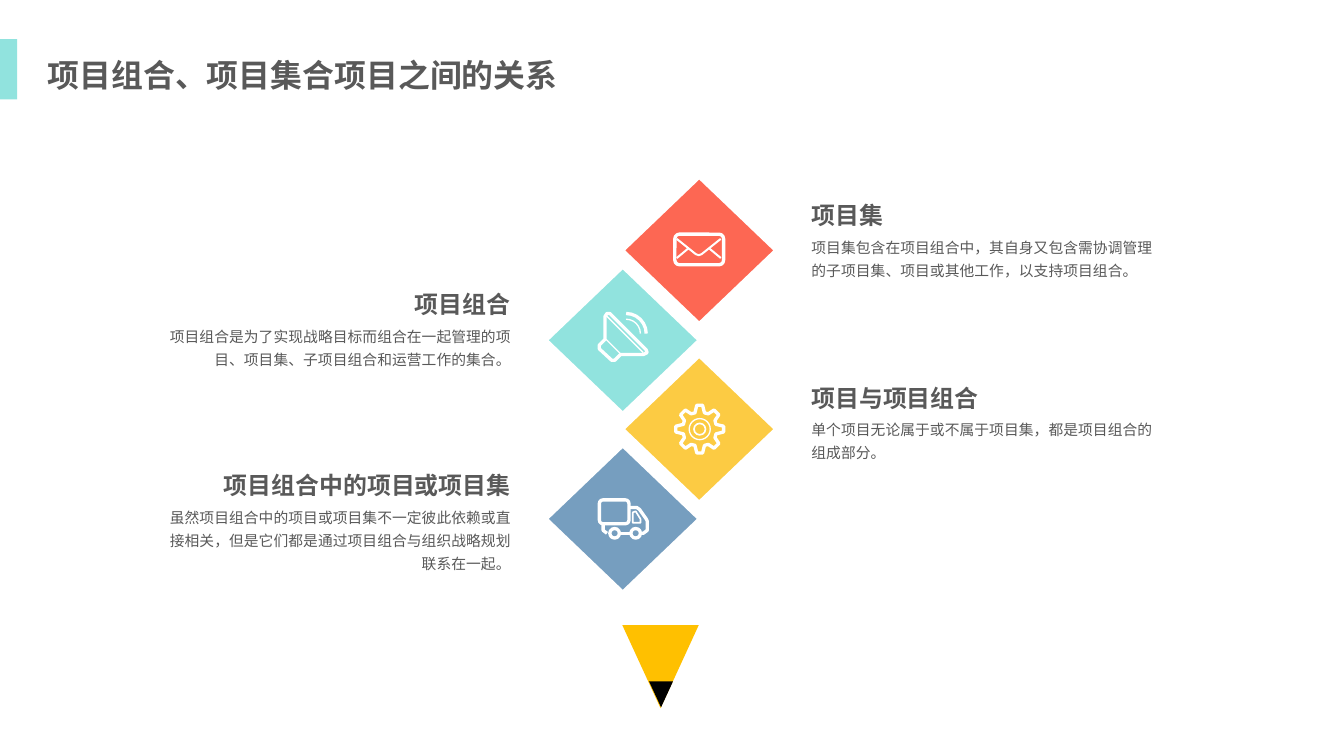
import math

from pptx import Presentation
from pptx import util as u
from pptx.dml.color import RGBColor
from pptx.enum import shapes, text

PX = 9144  # EMU per px, 100 px to the inch
WHITE = RGBColor(0xFF, 0xFF, 0xFF)
BLACK = RGBColor(0, 0, 0)
GRAY = RGBColor(0x59, 0x59, 0x59)
RED = RGBColor(0xFD, 0x67, 0x53)
TEAL = RGBColor(0x91, 0xE3, 0xDE)
YELLOW = RGBColor(0xFC, 0xCB, 0x43)
BLUE = RGBColor(0x76, 0x9E, 0xBF)
AMBER = RGBColor(0xFF, 0xC0, 0x00)
KIND = shapes.MSO_SHAPE

presentation = Presentation()
presentation.slide_width, presentation.slide_height = 1406 * PX, 791 * PX
slide = presentation.slides.add_slide(presentation.slide_layouts[6])


def paint(shape, fill=None, line_width=0):
    """Fill the shape, or leave it hollow, with a white line if it has a width."""
    shape.shadow.inherit = False
    if fill is None:
        shape.fill.background()
    else:
        shape.fill.solid()
        shape.fill.fore_color.rgb = fill
    if line_width:
        shape.line.color.rgb = WHITE
        shape.line.width = u.Pt(line_width)
    else:
        shape.line.fill.background()


def add_shape(kind, box, fill=None, line_width=0):
    shape = slide.shapes.add_shape(kind, *(length * PX for length in box))
    paint(shape, fill, line_width)
    return shape


# Pencil tip
for box, color in (((651, 654, 80, 87), AMBER), ((679, 713, 25, 27), BLACK)):
    add_shape(KIND.ISOSCELES_TRIANGLE, box, color).rotation = 180

# Diamonds
for left, top, color in (
    (571, 466, BLUE),
    (651, 185, RED),
    (651, 372, YELLOW),
    (571, 279, TEAL),
):
    add_shape(KIND.DIAMOND, (left, top, 161, 154), color, 3)

# Icon parts: rounded bodies of the envelope and the truck
for box in ((706, 245, 51, 32), (627, 523, 31, 25)):
    add_shape(KIND.ROUNDED_RECTANGLE, box, line_width=2.5).adjustments[0] = 0.15

# Icon parts: gear rings, truck wheels and megaphone sound waves
for kind, center_x, center_y, radius, line_width in (
    (KIND.OVAL, 732, 449, 11, 1),
    (KIND.OVAL, 732, 449, 6, 1.25),
    (KIND.OVAL, 643, 558, 5, 2.5),
    (KIND.OVAL, 665, 558, 5, 2.5),
    (KIND.ARC, 655, 349, 21, 2.5),
    (KIND.ARC, 655, 349, 15, 1),
):
    box = (center_x - radius, center_y - radius, 2 * radius, 2 * radius)
    add_shape(kind, box, line_width=line_width)

# Icon parts: outlines
gear = []
for tooth in range(8):
    for radius, offset in ((18, -16), (25, -7), (25, 7), (18, 16)):
        angle = math.radians(45 * tooth + offset)
        gear.append((732 + radius * math.cos(angle), 449 + radius * math.sin(angle)))
megaphone = [(633, 331), (633, 355), (627, 361), (627, 365), (640, 377), (643, 377),
             (649, 371), (673, 371), (677, 369), (676, 366), (638, 328), (635, 328)]
envelope_flap = [(708, 250), (728, 266), (731, 267), (734, 266), (754, 250)]
truck_cab = [(658, 531), (666, 531), (669, 533), (676, 543), (677, 545),
             (677, 555), (673, 558), (670, 558)]
truck_window = [(662, 536), (662, 547), (670, 547), (670, 543), (665, 535)]
for points, closed, line_width in (
    (gear, True, 2.5),
    (megaphone, True, 2.5),
    ([(634, 355), (649, 370)], False, 1),
    ([(635, 331), (673, 369)], False, 1),
    (envelope_flap, False, 1.5),
    ([(708, 270), (720, 260)], False, 1.5),
    ([(754, 270), (742, 260)], False, 1.5),
    (truck_cab, False, 2.5),
    (truck_window, True, 1.25),
    ([(631, 548), (631, 555), (635, 558)], False, 2.5),
    ([(649, 558), (659, 558)], False, 2.5),
):
    builder = slide.shapes.build_freeform(*points[0], scale=PX)
    builder.add_line_segments(points[1:], close=closed)
    paint(builder.convert_to_shape(), line_width=line_width)

# Title bar and texts
add_shape(KIND.RECTANGLE, (0, 41, 18, 63), TEAL)
LEFT, RIGHT = text.PP_ALIGN.LEFT, text.PP_ALIGN.RIGHT
labels = [((40, 41, 559, 63), LEFT, 24, "项目组合、项目集合项目之间的关系")]
for align, edge, top, heading_width, body_height, heading, body in (
    (LEFT, 839, 196, 96, 59, "项目集",
     "项目集包含在项目组合中，其自身又包含需协调管理的子项目集、项目或其他工作，以支持项目组合。"),
    (LEFT, 839, 387, 197, 59, "项目与项目组合",
     "单个项目无论属于或不属于项目集，都是项目组合的组成部分。"),
    (RIGHT, 544, 289, 121, 59, "项目组合",
     "项目组合是为了实现战略目标而组合在一起管理的项目、项目集、子项目组合和运营工作的集合。"),
    (RIGHT, 544, 479, 323, 83, "项目组合中的项目或项目集",
     "虽然项目组合中的项目或项目集不一定彼此依赖或直接相关，但是它们都是通过项目组合与组织战略规划联系在一起。"),
):
    for width, height, drop, size, words in (
        (heading_width, 46, 0, 18, heading),
        (388, body_height, 43, 11.1, body),
    ):
        left = edge if align == LEFT else edge - width
        labels.append(((left, top + drop, width, height), align, size, words))

for box, align, size, words in labels:
    is_heading = size >= 18
    frame = slide.shapes.add_textbox(*(length * PX for length in box)).text_frame
    frame.word_wrap = not is_heading
    frame.auto_size = text.MSO_AUTO_SIZE.SHAPE_TO_FIT_TEXT
    paragraph = frame.paragraphs[0]
    paragraph.text = words
    paragraph.alignment = align
    paragraph.line_spacing = 1.3
    font = paragraph.runs[0].font
    for name, value in {"name": "Arial", "size": u.Pt(size), "bold": is_heading}.items():
        setattr(font, name, value)
    font.color.rgb = GRAY

presentation.save("out.pptx")
